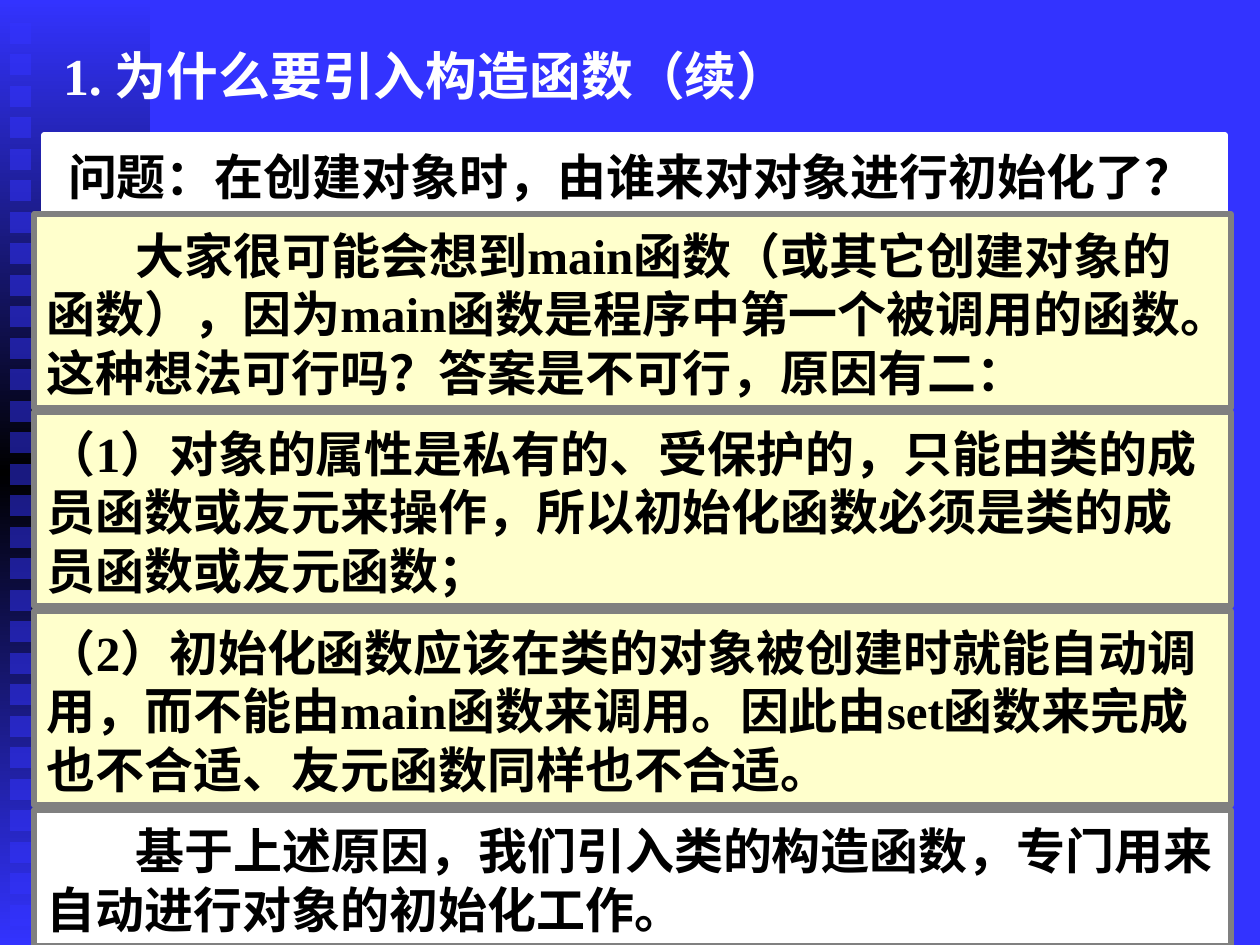
import dataclasses

import pptx
import pptx.dml.color
import pptx.enum.shapes
import pptx.enum.text
import pptx.oxml
import pptx.oxml.ns
import pptx.util
import copy


@dataclasses.dataclass(frozen=True)
class Theme:
    """Colours and type of the slide."""
    blue: str = "3333FF"
    black: str = "000000"
    white: str = "FFFFFF"
    cream: str = "FFFFCC"
    grey: str = "808080"
    font: str = "Times New Roman"
    title_size: float = 29.6
    body_size: float = 28
    border: float = 3


THEME = Theme()
PX_PER_INCH = 126


def emu(px):
    """Turn px into EMU."""
    return pptx.util.Emu(round(px * 914400 / PX_PER_INCH))


def rgb(colour):
    """Return the colour object of a hex string."""
    return pptx.dml.color.RGBColor.from_string(colour)


def add_rectangle(slide, box):
    """Add a rectangle without shadow or line at box (left, top, width, height)."""
    rectangle = slide.shapes.add_shape(
        pptx.enum.shapes.MSO_SHAPE.RECTANGLE, *map(emu, box))
    rectangle.shadow.inherit = False
    rectangle.line.fill.background()
    return rectangle


def write_text(frame, text, size, colour, insets, indent=0):
    """Write one bold, left-aligned paragraph into a text frame."""
    frame.word_wrap = True
    frame.margin_left, frame.margin_top, frame.margin_right, frame.margin_bottom = map(emu, insets)
    paragraph = frame.paragraphs[0]
    paragraph.text = text
    paragraph.alignment = pptx.enum.text.PP_ALIGN.LEFT
    paragraph._p.get_or_add_pPr().set("indent", str(emu(indent)))
    font = paragraph.font
    font.name, font.size, font.bold = THEME.font, pptx.util.Pt(size), True
    font.color.rgb = rgb(colour)


def add_side_band(slide, box):
    """Draw the shaded band with its column of translucent squares."""
    left, top, _, _ = box
    band = add_rectangle(slide, box)
    band.fill.gradient()
    band.fill.gradient_angle = 90
    stops = band.fill.gradient_stops
    for stop, colour in zip(stops, (THEME.blue, THEME.blue)):
        stop.color.rgb = rgb(colour)
    stops[0].position, stops[1].position = 0, 1
    first_stop = band.fill._fill._gradFill.gsLst[0]
    first_stop.addnext(copy.deepcopy(first_stop))
    middle = band.fill.gradient_stops[1]
    middle.position = 0.5
    middle.color.rgb = rgb(THEME.black)

    for row in range(29):
        square = add_rectangle(slide, (left + 10, top + 23 + row * 63 // 2, 21, 21))
        square.fill.solid()
        square.fill.fore_color.rgb = rgb(THEME.blue)
        colour = square._element.spPr.find(".//" + pptx.oxml.ns.qn("a:srgbClr"))
        alpha = pptx.oxml.parse_xml(f'<a:alpha {pptx.oxml.ns.nsdecls("a")} val="50000"/>')
        colour.append(alpha)


def add_title(slide, box, text):
    """Place the slide title, centred vertically in its box."""
    frame = slide.shapes.add_textbox(*map(emu, box)).text_frame
    write_text(frame, text, THEME.title_size, THEME.white, (13, 6, 13, 6))
    frame.vertical_anchor = pptx.enum.text.MSO_ANCHOR.MIDDLE


def add_panel(slide, box, text, fill, border, indent):
    """Place a filled, bordered panel of body text."""
    panel = add_rectangle(slide, box)
    panel.fill.solid()
    panel.fill.fore_color.rgb = rgb(fill)
    panel.line.color.rgb = rgb(border)
    panel.line.width = pptx.util.Pt(THEME.border)
    write_text(panel.text_frame, text, THEME.body_size, THEME.black, (13, 11, 13, 6), indent)
    panel.text_frame.vertical_anchor = pptx.enum.text.MSO_ANCHOR.TOP


def add_answers(slide, box):
    """Stack the answer panels at an equal pitch inside the box."""
    left, top, width, height = box
    answers = (
        ("大家很可能会想到main函数（或其它创建对象的函数），因为main函数是程序中第一个被调用的函数。"
         "这种想法可行吗？答案是不可行，原因有二：", THEME.cream, 194, 89),
        ("（1）对象的属性是私有的、受保护的，只能由类的成员函数或友元来操作，"
         "所以初始化函数必须是类的成员函数或友元函数；", THEME.cream, 194, 0),
        ("（2）初始化函数应该在类的对象被创建时就能自动调用，而不能由main函数来调用。"
         "因此由set函数来完成也不合适、友元函数同样也不合适。", THEME.cream, 194, 0),
        ("基于上述原因，我们引入类的构造函数，专门用来自动进行对象的初始化工作。",
         THEME.white, 136, 89),
    )
    last_height = answers[-1][2]
    for index, (text, fill, panel_height, indent) in enumerate(answers):
        panel_top = top + index * (height - last_height) // (len(answers) - 1)
        add_panel(slide, (left, panel_top, width, panel_height), text, fill, THEME.grey, indent)


def main():
    """Build and save the slide."""
    presentation = pptx.Presentation()
    presentation.slide_width, presentation.slide_height = emu(1260), emu(945)
    slide = presentation.slides.add_slide(presentation.slide_layouts[6])
    slide.background.fill.solid()
    slide.background.fill.fore_color.rgb = rgb(THEME.blue)
    add_side_band(slide, (0, 0, 150, 945))
    add_panel(slide, (44, 135, 1181, 79), "问题：在创建对象时，由谁来对对象进行初始化了？",
              THEME.white, THEME.white, 11)
    add_title(slide, (50, 35, 1166, 79), "1. 为什么要引入构造函数（续）")
    add_answers(slide, (34, 214, 1197, 732))
    presentation.save("out.pptx")


if __name__ == "__main__":
    main()
